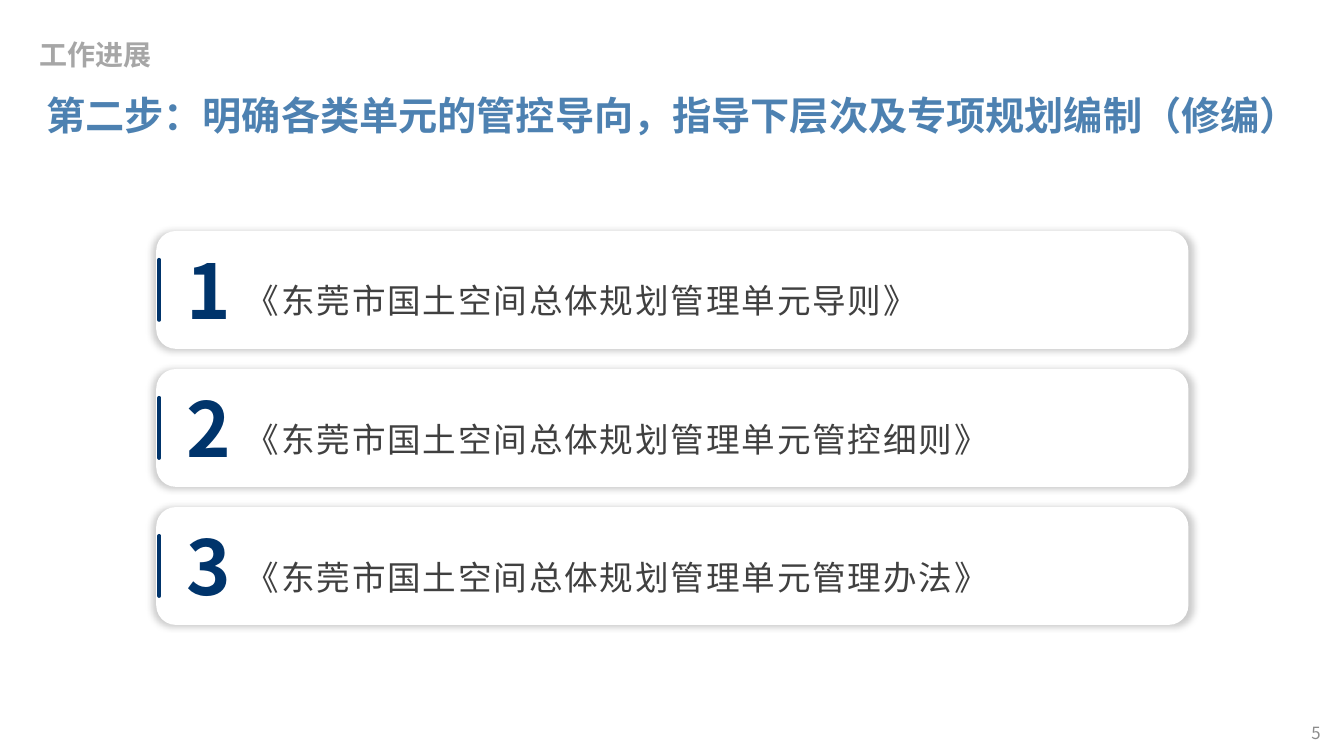
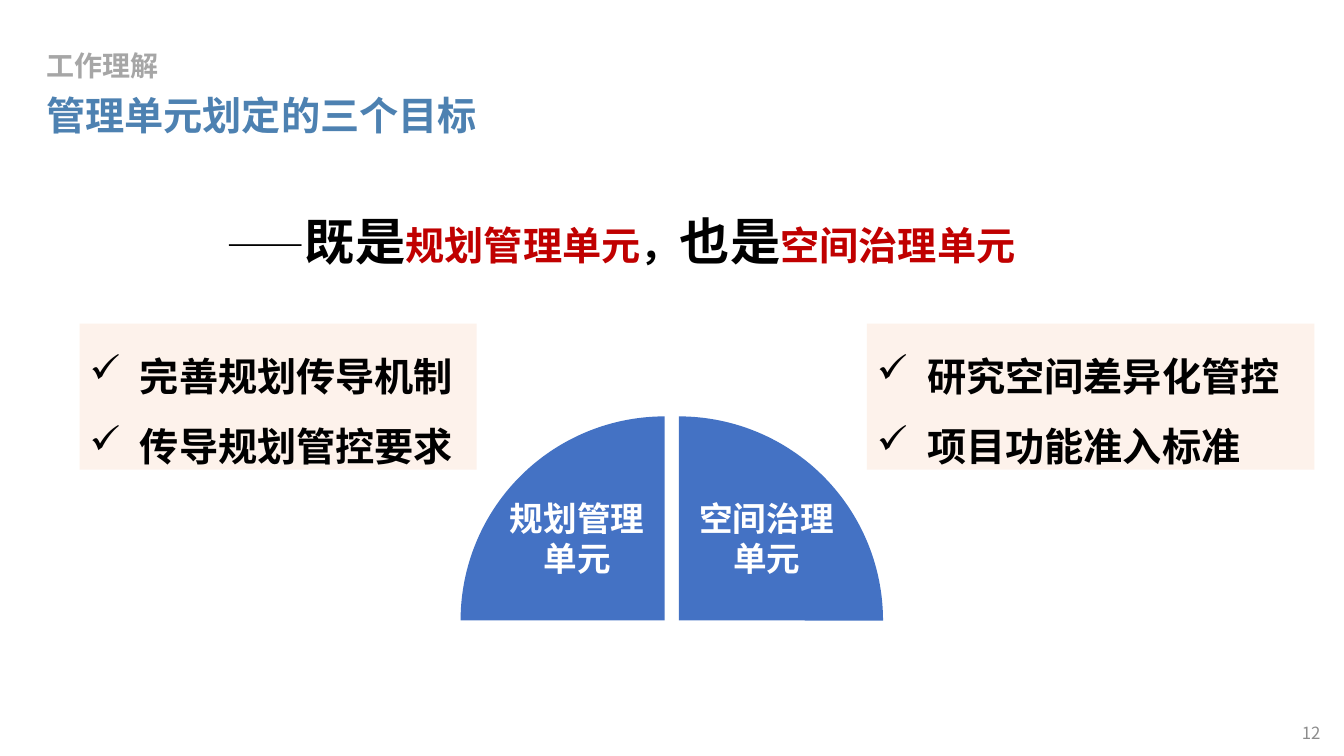
from lxml.etree import SubElement
from pptx import Presentation
from pptx.dml.color import RGBColor
from pptx.enum.shapes import MSO_CONNECTOR as CONNECTOR, MSO_SHAPE as SHAPE
from pptx.enum.text import MSO_ANCHOR as ANCHOR, MSO_AUTO_SIZE as AUTO_SIZE, PP_ALIGN as ALIGN
from pptx.oxml.ns import qn
from pptx.util import Pt

FONT = "Noto Sans CJK SC"
BLACK = RGBColor(0x00, 0x00, 0x00)
WHITE = RGBColor(0xFF, 0xFF, 0xFF)
DARK_GREY = RGBColor(0x40, 0x40, 0x40)
SECTION_GREY = RGBColor(0xA6, 0xA6, 0xA6)
PAGE_GREY = RGBColor(0x8C, 0x8C, 0x8C)
TITLE_BLUE = RGBColor(0x4D, 0x81, 0xB1)
NAVY = RGBColor(0x00, 0x34, 0x6B)
PIE_BLUE = RGBColor(0x44, 0x72, 0xC4)
RED = RGBColor(0xC0, 0x00, 0x00)
PEACH = RGBColor(0xFB, 0xE5, 0xD6)


def write(shape, *lines, size, color, bold=False, align=ALIGN.LEFT, anchor=ANCHOR.TOP,
          line_spacing=None, space=None, tracking=None, bullet=None, grow=True):
    """Each line is a string or a list of (text, size, color) runs."""
    frame = shape.text_frame
    frame.word_wrap = True
    frame.vertical_anchor = anchor
    frame.auto_size = AUTO_SIZE.SHAPE_TO_FIT_TEXT if grow else AUTO_SIZE.NONE
    for index, line in enumerate(lines):
        paragraph = frame.add_paragraph() if index else frame.paragraphs[0]
        paragraph.alignment = align
        if line_spacing:
            paragraph.line_spacing = line_spacing
        if space:
            paragraph.space_before = paragraph.space_after = Pt(space)
        if bullet:
            properties = paragraph._p.get_or_add_pPr()
            properties.set("marL", str(Pt(36)))
            properties.set("indent", str(-Pt(36)))
            SubElement(properties, qn("a:buChar"), char=bullet)
        runs = [(line, size, color)] if isinstance(line, str) else line
        for text, run_size, run_color in runs:
            run = paragraph.add_run()
            run.text = text
            run.font.name = FONT
            run.font.size = Pt(run_size)
            run.font.bold = bold
            run.font.color.rgb = run_color
            properties = run._r.get_or_add_rPr()
            SubElement(properties, qn("a:ea"), typeface=FONT)
            if tracking:
                properties.set("spc", str(int(tracking * 100)))


def add_box(slide, left, top, width, height, preset=None, fill=None):
    """A text box, or a filled shape when a preset is given."""
    place = Pt(left), Pt(top), Pt(width), Pt(height)
    if preset is None:
        return slide.shapes.add_textbox(*place)
    shape = slide.shapes.add_shape(preset, *place)
    shape.shadow.inherit = False
    shape.fill.solid()
    shape.fill.fore_color.rgb = fill
    shape.line.fill.background()
    return shape


presentation = Presentation()
presentation.slide_width = Pt(960)
presentation.slide_height = Pt(540)

# Shared frame: page number, section name and title
slides = []
for page, section, section_left, section_top, title in [
    ("5", "工作进展", 20.9, 11.5, "第二步：明确各类单元的管控导向，指导下层次及专项规划编制（修编）"),
    ("12", "工作理解", 25.9, 19.4, "管理单元划定的三个目标"),
]:
    slide = presentation.slides.add_slide(presentation.slide_layouts[6])
    slides.append(slide)
    write(add_box(slide, 734.4, 509, 216, 28.8), page, size=12, color=PAGE_GREY,
          align=ALIGN.RIGHT, anchor=ANCHOR.MIDDLE, grow=False)
    write(add_box(slide, section_left, section_top, 918, 39.6), section, size=20,
          color=SECTION_GREY, bold=True, align=ALIGN.JUSTIFY, line_spacing=1.5, space=6)
    write(add_box(slide, 25.9, 61.9, 918, 41), title, size=28, color=TITLE_BLUE, bold=True)
progress, goals = slides

# Slide 1: numbered document cards
documents = [
    "《东莞市国土空间总体规划管理单元导则》",
    "《东莞市国土空间总体规划管理单元管控细则》",
    "《东莞市国土空间总体规划管理单元管理办法》",
]
CARD_TOP, CARD_PITCH = 165, 98.6
for index, document in enumerate(documents):
    top = CARD_TOP + index * CARD_PITCH
    card = add_box(progress, 111.6, top, 737.3, 84.2, SHAPE.ROUNDED_RECTANGLE, WHITE)
    effects = card._element.spPr.find(qn("a:effectLst"))
    shadow = SubElement(effects, qn("a:outerShdw"), blurRad=str(Pt(5)), sx="101000",
                        sy="101000", algn="ctr", rotWithShape="0")
    shadow_color = SubElement(shadow, qn("a:srgbClr"), val="000000")
    SubElement(shadow_color, qn("a:alpha"), val="20000")

    accent = progress.shapes.add_connector(
        CONNECTOR.STRAIGHT, Pt(113.8), Pt(top + 20.7), Pt(113.8), Pt(top + 63.4))
    accent.line.color.rgb = NAVY
    accent.line.width = Pt(3)
    accent.line._get_or_add_ln().set("cap", "rnd")
    SubElement(accent._element.spPr, qn("a:effectLst"))

    write(add_box(progress, 126, top + 5.4, 49.7, 72.7), str(index + 1),
          size=54, color=NAVY, bold=True, tracking=1.3)
    write(add_box(progress, 168.5, top + 17.3, 652.3, 46), document,
          size=24, color=DARK_GREY, line_spacing=1.5, tracking=1.3)

# Slide 2: key statement
statement = [
    ("——", 28, BLACK), ("既是", 36, BLACK), ("规划管理单元", 28, RED),
    ("，", 28, BLACK), ("也是", 36, BLACK), ("空间治理单元", 28, RED),
]
write(add_box(goals, 154.8, 146.2, 650.2, 51), statement, size=28, color=BLACK, bold=True)

# Slide 2: two quarter circles with labels
for left, rotation, label_left, label in [
    (329, 0, 349.9, "规划管理单元"),
    (339.1, 90, 485.3, "空间治理单元"),
]:
    quarter = add_box(goals, left, 297.4, 291.6, 291.6, SHAPE.PIE, PIE_BLUE)
    quarter.adjustments[0] = 108  # 180 degrees
    quarter.adjustments[1] = 162  # 270 degrees
    quarter.rotation = rotation
    write(add_box(goals, label_left, 352, 124.6, 65.5), label,
          size=24, color=WHITE, bold=True, align=ALIGN.CENTER)

# Slide 2: check lists on translucent panels
for left, width, checks in [
    (56.9, 283.7, ["完善规划传导机制", "传导规划管控要求"]),
    (619.2, 319.7, ["研究空间差异化管控", "项目功能准入标准"]),
]:
    panel = add_box(goals, left, 231.1, width, 104.4, SHAPE.RECTANGLE, PEACH)
    panel_color = panel._element.spPr.find(f"{qn('a:solidFill')}/{qn('a:srgbClr')}")
    SubElement(panel_color, qn("a:alpha"), val="48000")
    write(panel, *checks, size=28, color=BLACK, bold=True, line_spacing=1.5, bullet="✓")

presentation.save("out.pptx")
